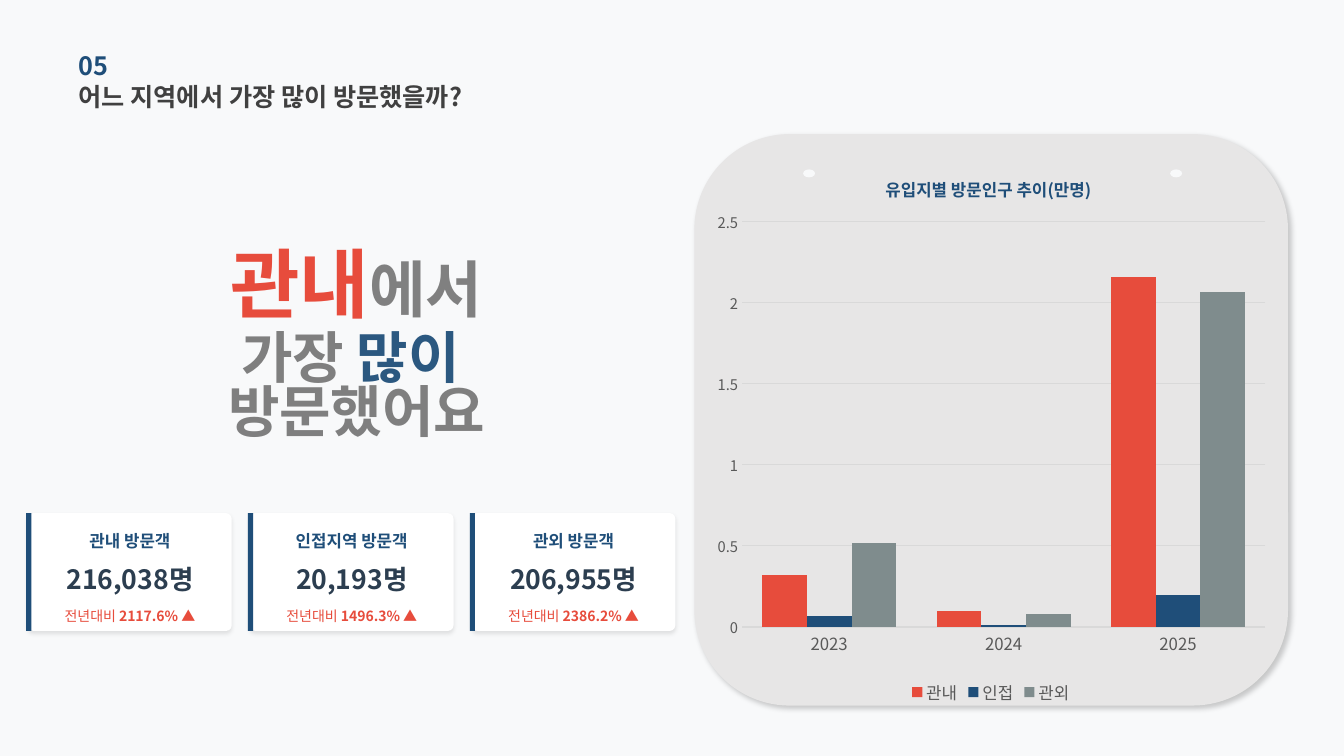
from lxml import etree
from pptx import Presentation
from pptx.chart.data import CategoryChartData
from pptx.dml.color import RGBColor
from pptx.enum import chart as ch, shapes, text
from pptx.oxml import parse_xml
from pptx.oxml.ns import nsdecls, qn
from pptx.util import Cm, Pt

FONT = "Noto Sans CJK KR"
RED, BLUE, GRAY, PALE = "E74C3C", "1F4E79", "7F7F7F", "F8F9FA"
INK, RULE = "595959", "D9D9D9"

# Runs are (text, size, colour, bold); boxes are left, top, width, height in cm.
HEADS = [
    ((1.98, 1.9, 13.41, 1.04), [("어느 지역에서 가장 많이 방문했을까?", 18, "404040", True)]),
    ((1.98, 1.12, 11.48, 1.04), [("05", 18, BLUE, True)]),
]
CLAIM = [("관내", 54, RED, True), ("에서", 44, "808080", True)]
CLAIM2 = [
    [("가장", 40, GRAY, True), (" 많이 ", 40, "2B5880", True)],
    [("방문했어요", 40, GRAY, True)],
]
CARDS = [
    ("관내 방문객", 2.41, "216,038명", "2117.6% ▲"),
    ("인접지역 방문객", 3.05, "20,193명", "1496.3% ▲"),
    ("관외 방문객", 2.41, "206,955명", "2386.2% ▲"),
]
LEFT, TOP, WIDE, HIGH, STEP = 0.71, 12.93, 5.13, 2.97, 5.59
PANEL = (17.5, 3.38, 14.96, 14.4)
HOLES = (20.24, 29.49)
PLOT = (17.78, 3.76, 14.38, 14.1)
TITLE = "유입지별 방문인구 추이(만명)"
YEARS = ["2023", "2024", "2025"]
SERIES = [
    ("관내", (0.32, 0.1, 2.16), RED),
    ("인접", (0.07, 0.01, 0.2), BLUE),
    ("관외", (0.52, 0.08, 2.07), "7F8C8D"),
]


def hue(code):
    return RGBColor.from_string(code)


def style(font, size, color, bold=False):
    for key, val in {"name": FONT, "size": Pt(size), "bold": bold}.items():
        setattr(font, key, val)
    font.color.rgb = hue(color)


def asian(root):
    """Give every Latin font under root the same East Asian font."""
    for latin in list(root.iter(qn("a:latin"))):
        east = etree.Element(qn("a:ea"), typeface=FONT)
        latin.addnext(east)


def shape(kind, box, fill, adj=None, shade=None):
    """Draw a borderless shape; shade is opacity %, blur, distance, angle."""
    item = slide.shapes.add_shape(kind, *map(Cm, box))
    item.shadow.inherit = False
    item.fill.solid()
    item.fill.fore_color.rgb = hue(fill)
    item.line.fill.background()
    if adj is not None:
        item.adjustments[0] = adj
    if shade:
        alpha, blur, dist, angle = shade
        item._element.spPr.find(qn("a:effectLst")).append(parse_xml(
            f'<a:outerShdw {nsdecls("a")} blurRad="{Pt(blur)}" dist="{Pt(dist)}" '
            f'dir="{angle * 60000}" algn="tl" rotWithShape="0"><a:srgbClr val="000000">'
            f'<a:alpha val="{alpha * 1000}"/></a:srgbClr></a:outerShdw>'))


def write(box, paras, align=text.PP_ALIGN.CENTER, space=None):
    frame = slide.shapes.add_textbox(*map(Cm, box)).text_frame
    for side in ("left", "top", "right", "bottom"):
        setattr(frame, f"margin_{side}", 0)
    frame.word_wrap = True
    frame.vertical_anchor = text.MSO_ANCHOR.MIDDLE
    for i, runs in enumerate(paras):
        para = frame.add_paragraph() if i else frame.paragraphs[0]
        para.alignment = align
        if space:
            para.line_spacing = space
        for words, *look in runs:
            run = para.add_run()
            run.text = words
            style(run.font, *look)
    asian(frame._txBody)


def card(left, label, width, count, change):
    kind = shapes.MSO_SHAPE
    shape(kind.ROUNDED_RECTANGLE, (left, TOP, WIDE, HIGH), "FFFFFF", 0.048, (10, 3, 2, 90))
    write((left + (WIDE - width) / 2, TOP + 0.41, width, 0.56), [[(label, 12, BLUE, True)]])
    write((left, TOP + 1.22, WIDE, 0.86), [[(count, 19, "2C3E50", True)]])
    write((left, TOP + 2.34, WIDE, 0.51),
          [[("전년대비 ", 10, RED, False), (change, 10, RED, True)]])
    shape(kind.RECTANGLE, (left - 0.05, TOP, 0.13, HIGH), BLUE)


def place(parent, inner=False, **spots):
    """Fix a chart part at fractions of the chart area."""
    old = parent.find(qn("c:layout"))
    if old is not None:
        parent.remove(old)
    tags = '<c:layoutTarget val="inner"/>' if inner else ""
    tags += '<c:xMode val="edge"/><c:yMode val="edge"/>'
    tags += "".join(f'<c:{k} val="{v}"/>' for k, v in spots.items())
    node = parse_xml(f'<c:layout {nsdecls("c")}><c:manualLayout>{tags}'
                     '</c:manualLayout></c:layout>')
    text_part = parent.find(qn("c:tx"))
    if text_part is not None:
        text_part.addnext(node)
    else:
        parent.insert(0, node)


def rule(line):
    line.color.rgb = hue(RULE)
    line.width = Pt(0.75)


def graph():
    data = CategoryChartData()
    data.categories = YEARS
    for name, vals, _ in SERIES:
        data.add_series(name, vals)
    chart = slide.shapes.add_chart(
        ch.XL_CHART_TYPE.COLUMN_CLUSTERED, *map(Cm, PLOT), data).chart
    style(chart.font, 10, "000000")

    chart.has_title = True
    run = chart.chart_title.text_frame.paragraphs[0].add_run()
    run.text = TITLE
    style(run.font, 12, BLUE, True)
    chart.has_legend = True
    chart.legend.position = ch.XL_LEGEND_POSITION.BOTTOM
    chart.legend.include_in_layout = False
    style(chart.legend.font, 12, INK)

    plot = chart.plots[0]
    plot.gap_width, plot.overlap, plot.vary_by_categories = 90, 0, False
    for bars, (_, _, color) in zip(plot.series, SERIES):
        bars.format.fill.solid()
        bars.format.fill.fore_color.rgb = hue(color)
    years, scale = chart.category_axis, chart.value_axis
    for axis, size in ((years, 12), (scale, 10.5)):
        axis.major_tick_mark = axis.minor_tick_mark = ch.XL_TICK_MARK.NONE
        style(axis.tick_labels.font, size, INK)
    rule(years.format.line)
    scale.format.line.fill.background()
    rule(scale.major_gridlines.format.line)
    scale.minimum_scale, scale.maximum_scale, scale.major_unit = 0, 2.5, 0.5

    root = chart._chartSpace
    place(root.find(".//" + qn("c:title")), x=0.31, y=0.04)
    place(root.find(".//" + qn("c:plotArea")), True, x=0.064, y=0.13, w=0.917, h=0.724)
    asian(root)


deck = Presentation()
deck.slide_width, deck.slide_height = Cm(33.87), Cm(19.05)
slide = deck.slides.add_slide(deck.slide_layouts[6])
slide.background.fill.solid()
slide.background.fill.fore_color.rgb = hue(PALE)

shape(shapes.MSO_SHAPE.ROUNDED_RECTANGLE, PANEL, "E7E6E6", shade=(20, 4, 3, 45))
for box, runs in HEADS:
    write(box, [runs], text.PP_ALIGN.LEFT)
for left in HOLES:
    shape(shapes.MSO_SHAPE.OVAL, (left, 4.27, 0.3, 0.2), PALE)
write((3.53, 6.5, 10.9, 1.22), [CLAIM])
write((1.98, 8.74, 14.02, 2.13), CLAIM2, space=0.8)
for i, facts in enumerate(CARDS):
    card(LEFT + i * STEP, *facts)
graph()
deck.save("out.pptx")
